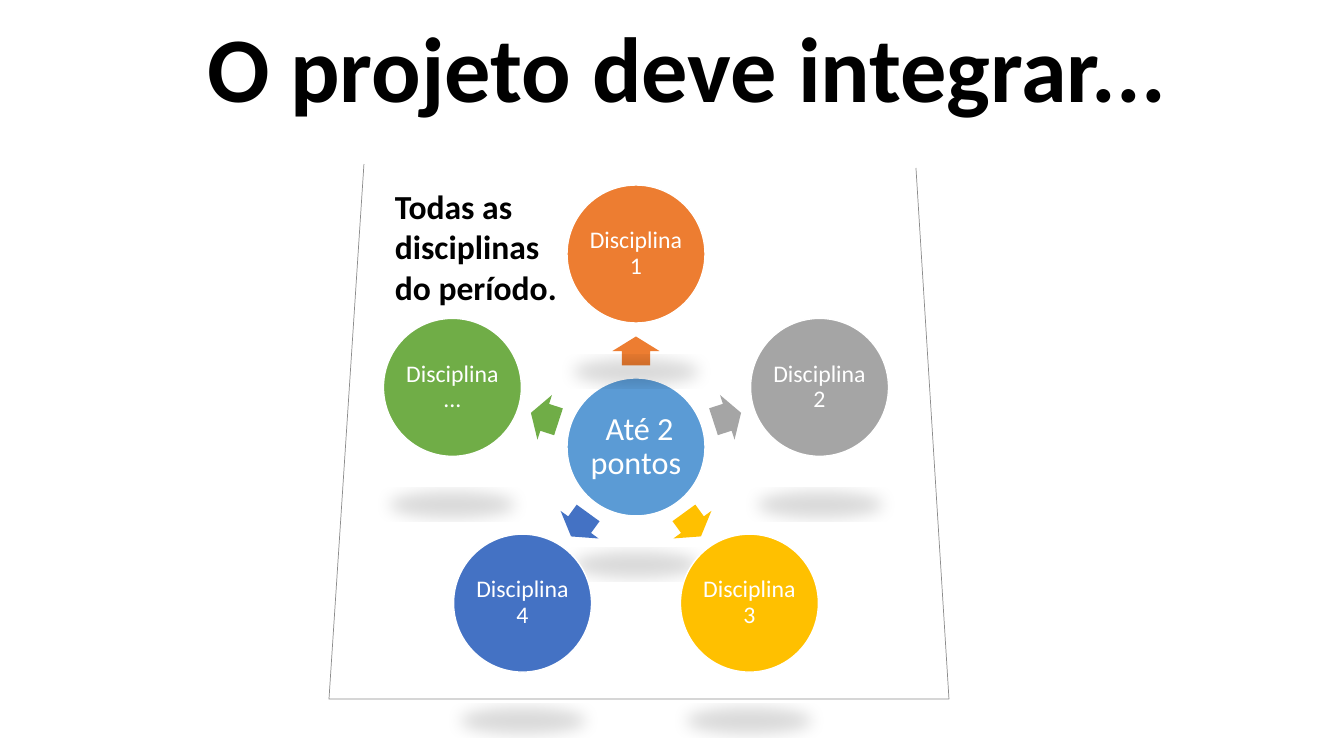
from dataclasses import dataclass
from math import cos, radians, sin

from lxml.etree import SubElement
from pptx import Presentation
from pptx.dml.color import RGBColor
from pptx.enum.shapes import MSO_SHAPE
from pptx.enum.text import MSO_ANCHOR, MSO_AUTO_SIZE, PP_ALIGN
from pptx.oxml.ns import qn
from pptx.util import Pt

SLIDE_WIDTH, SLIDE_HEIGHT = 1344, 756
EMU_PER_PX = 12192000 / SLIDE_WIDTH
HUB_X, HUB_Y = 636, 447
CIRCLE_SIZE = 138
DISCIPLINE_RADIUS, ARROW_RADIUS = 193, 96
ARROW_LENGTH, ARROW_WIDTH = 29, 47
PANEL_OUTLINE = [(364, 164), (329, 699), (949, 699), (916, 168)]
DISCIPLINES = [
    ("Disciplina 1", "ED7D31"),
    ("Disciplina 2", "A5A5A5"),
    ("Disciplina 3", "FFC000"),
    ("Disciplina 4", "4472C4"),
    ("Disciplina ...", "70AD47"),
]


@dataclass(frozen=True)
class Theme:
    """Colours, font and type sizes of the slide."""

    font: str = "Calibri"
    ink: str = "000000"
    paper: str = "FFFFFF"
    edge: str = "8C8C8C"
    hub: str = "5B9BD5"
    title_size: int = 66
    note_size: int = 24
    hub_size: int = 23
    discipline_size: int = 17


THEME = Theme()


def px(length):
    """Turn pixels into EMU."""
    return round(length * EMU_PER_PX)


def box(left, top, width, height):
    """Give a box in EMU."""
    return px(left), px(top), px(width), px(height)


def centred_box(x, y, width, height):
    """Give the EMU box that has its middle at a point."""
    return box(x - width / 2, y - height / 2, width, height)


def on_ring(radius, angle):
    """Find the point at an angle on a ring around the hub."""
    turn = radians(angle)
    return HUB_X + radius * cos(turn), HUB_Y + radius * sin(turn)


def add_run(paragraph, text, size, color, bold=False):
    """Add one formatted run to a paragraph."""
    run = paragraph.add_run()
    run.text = text
    run.font.name = THEME.font
    run.font.size = Pt(size)
    run.font.bold = bold
    run.font.color.rgb = RGBColor.from_string(color)


def paint(shape, color):
    """Fill a shape and take away its inherited shadow."""
    shape.shadow.inherit = False
    shape.fill.solid()
    shape.fill.fore_color.rgb = RGBColor.from_string(color)


def outline(shape, color, width):
    """Give a shape a plain line."""
    shape.line.color.rgb = RGBColor.from_string(color)
    shape.line.width = Pt(width)


def cast_floor_shadow(shape):
    """Give a shape a soft flattened shadow below it."""
    effects = shape.element.spPr.find(qn("a:effectLst"))
    shadow = SubElement(
        effects, qn("a:outerShdw"), blurRad="152400", dist="317500",
        dir="5400000", sx="90000", sy="-19000", rotWithShape="0",
    )
    color = SubElement(shadow, qn("a:srgbClr"), val=THEME.ink)
    SubElement(color, qn("a:alpha"), val="15000")


def add_title(slide, text):
    """Write the slide title in its placeholder."""
    title = slide.shapes.title
    title.left, title.top, title.width, title.height = box(197, 0, 1112, 146)
    frame = title.text_frame
    frame.word_wrap = True
    frame.auto_size = MSO_AUTO_SIZE.NONE
    frame.vertical_anchor = MSO_ANCHOR.MIDDLE
    heading = frame.paragraphs[0]
    heading.alignment = PP_ALIGN.LEFT
    heading.line_spacing = 0.9
    add_run(heading, text, THEME.title_size, THEME.ink, bold=True)


def add_panel(slide):
    """Draw the panel with its open top behind the diagram."""
    corners = [(px(x), px(y)) for x, y in PANEL_OUTLINE]
    builder = slide.shapes.build_freeform(*corners[0])
    builder.add_line_segments(corners[1:], close=False)
    panel = builder.convert_to_shape()
    paint(panel, THEME.paper)
    outline(panel, THEME.edge, 0.5)


def add_circle(slide, center, text, color, size, inset):
    """Add a labelled circle with a floor shadow."""
    circle = slide.shapes.add_shape(
        MSO_SHAPE.OVAL, *centred_box(*center, CIRCLE_SIZE, CIRCLE_SIZE)
    )
    paint(circle, color)
    outline(circle, THEME.paper, 1)
    cast_floor_shadow(circle)
    frame = circle.text_frame
    frame.word_wrap = True
    frame.vertical_anchor = MSO_ANCHOR.MIDDLE
    frame.margin_left = frame.margin_right = px(inset)
    frame.margin_top = frame.margin_bottom = px(inset)
    label = frame.paragraphs[0]
    label.alignment = PP_ALIGN.CENTER
    label.line_spacing = 0.9
    add_run(label, text, size, THEME.paper)


def add_arrow(slide, angle, color):
    """Add an arrow that points away from the hub."""
    center = on_ring(ARROW_RADIUS, angle)
    arrow = slide.shapes.add_shape(
        MSO_SHAPE.RIGHT_ARROW, *centred_box(*center, ARROW_LENGTH, ARROW_WIDTH)
    )
    arrow.adjustments[0] = 0.6
    arrow.adjustments[1] = 0.5
    arrow.rotation = angle % 360
    paint(arrow, color)
    arrow.line.fill.background()


def add_note(slide, lines):
    """Add the bold note beside the diagram."""
    note = slide.shapes.add_textbox(*box(385, 181, 187, 132))
    frame = note.text_frame
    frame.word_wrap = True
    frame.auto_size = MSO_AUTO_SIZE.SHAPE_TO_FIT_TEXT
    for index, line in enumerate(lines):
        paragraph = frame.add_paragraph() if index else frame.paragraphs[0]
        add_run(paragraph, line, THEME.note_size, THEME.ink, bold=True)


def main():
    """Build the slide and save it."""
    deck = Presentation()
    deck.slide_width, deck.slide_height = px(SLIDE_WIDTH), px(SLIDE_HEIGHT)
    slide = deck.slides.add_slide(deck.slide_layouts[5])
    add_panel(slide)
    add_circle(
        slide, (HUB_X, HUB_Y), " Até 2 pontos", THEME.hub, THEME.hub_size, 3
    )
    for index, (discipline, color) in enumerate(DISCIPLINES):
        angle = index * 360 / len(DISCIPLINES) - 90
        add_arrow(slide, angle, color)
        add_circle(
            slide, on_ring(DISCIPLINE_RADIUS, angle), discipline, color,
            THEME.discipline_size, 2,
        )
    add_title(slide, "O projeto deve integrar...")
    add_note(slide, ["Todas as", "disciplinas", "do período."])
    deck.save("out.pptx")


if __name__ == "__main__":
    main()
